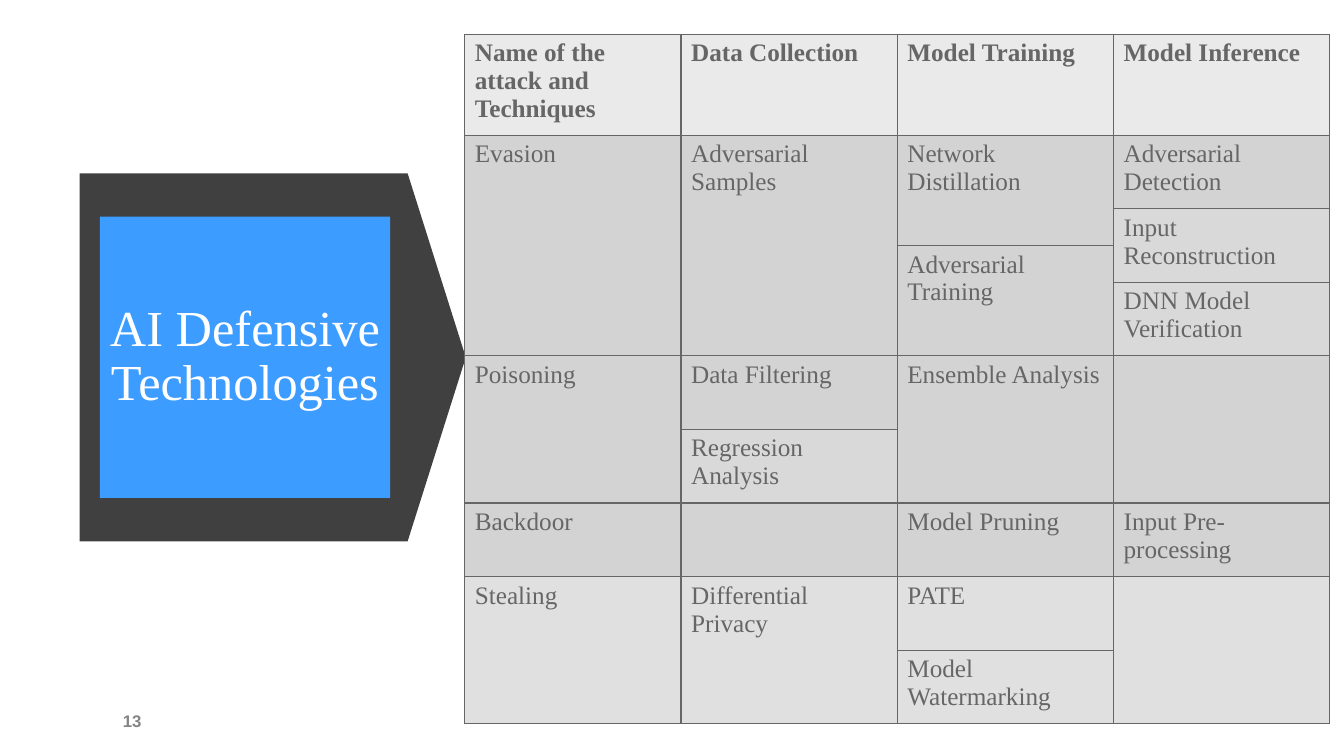
from dataclasses import dataclass

from lxml import etree
from pptx import Presentation
from pptx.dml.color import RGBColor
from pptx.enum import shapes, text
from pptx.oxml import ns
from pptx.util import Inches, Pt

COLORS = {
    "arrow": "404040", "title": "3D9CFF", "white": "FFFFFF", "ink": "666666",
    "header": "EAEAEA", "dark": "D3D3D3", "mid": "D9D9D9", "light": "E0E0E0",
}
SERIF = "Times New Roman"
COL_WIDTH = 2.145
ROW = 0.73
ROW_HEIGHTS = [0.93, ROW, ROW / 2, ROW / 2] + [ROW] * 6


@dataclass
class Entry:
    row: int
    col: int
    text: str
    fill: str = "dark"
    rows: int = 1


HEADERS = ["Name of the attack and Techniques", "Data Collection",
           "Model Training", "Model Inference"]
ENTRIES = [Entry(0, col, name, "header") for col, name in enumerate(HEADERS)] + [
    Entry(1, 0, "Evasion", rows=4),
    Entry(1, 1, "Adversarial Samples", rows=4),
    Entry(1, 2, "Network Distillation", rows=2),
    Entry(3, 2, "Adversarial Training", rows=2),
    Entry(1, 3, "Adversarial Detection"),
    Entry(2, 3, "Input Reconstruction", "mid", 2),
    Entry(4, 3, "DNN Model Verification", "mid"),
    Entry(5, 0, "Poisoning", rows=2),
    Entry(5, 1, "Data Filtering"),
    Entry(6, 1, "Regression Analysis", "mid"),
    Entry(5, 2, "Ensemble Analysis", rows=2),
    Entry(5, 3, "", rows=2),
    Entry(7, 0, "Backdoor"),
    Entry(7, 1, ""),
    Entry(7, 2, "Model Pruning"),
    Entry(7, 3, "Input Pre-processing"),
    Entry(8, 0, "Stealing", "light", 2),
    Entry(8, 1, "Differential Privacy", "light", 2),
    Entry(8, 2, "PATE", "light"),
    Entry(9, 2, "Model Watermarking", "light"),
    Entry(8, 3, "", "light", 2),
]


def set_fill(target, color: str) -> None:
    target.fill.solid()
    target.fill.fore_color.rgb = RGBColor.from_string(COLORS[color])


def write(tf, content: str, *, size: float = 18, font: str = SERIF,
          color: str = "ink", bold: bool = False):
    """Put one formatted run in the first paragraph and return both."""
    p = tf.paragraphs[0]
    r = p.add_run()
    r.text = content
    r.font.size, r.font.name, r.font.bold = Pt(size), font, bold
    r.font.color.rgb = RGBColor.from_string(COLORS[color])
    return p, r


def set_borders(cell) -> None:
    tc_pr = cell._tc.get_or_add_tcPr()
    for i, side in enumerate(("lnL", "lnR", "lnT", "lnB")):
        ln = etree.Element(ns.qn(f"a:{side}"), w=str(Pt(1)))
        fill = etree.SubElement(ln, ns.qn("a:solidFill"))
        etree.SubElement(fill, ns.qn("a:srgbClr"), val=COLORS["ink"])
        tc_pr.insert(i, ln)


def add_title(s) -> None:
    sp = s.shapes.title
    sp.left, sp.top, sp.width, sp.height = map(Inches, (0.99, 2.15, 2.88, 2.79))
    set_fill(sp, "title")
    tf = sp.text_frame
    tf.word_wrap = True
    tf.auto_size = text.MSO_AUTO_SIZE.NONE
    tf.vertical_anchor = text.MSO_ANCHOR.MIDDLE
    p, _ = write(tf, "AI Defensive Technologies", size=36, color="white")
    p.alignment = text.PP_ALIGN.CENTER
    p.line_spacing = 0.9


def add_arrow(s) -> None:
    """Draw the block arrow behind the title."""
    sp = s.shapes.add_shape(shapes.MSO_SHAPE.DOWN_ARROW, Inches(0.88),
                            Inches(1.63), Inches(3.65), Inches(3.83))
    sp.rotation = 270
    sp.adjustments[0], sp.adjustments[1] = 1, 0.158
    sp.shadow.inherit = False
    set_fill(sp, "arrow")
    sp.line.fill.background()
    s.shapes.title._element.addprevious(sp._element)


def add_page_number(s) -> None:
    sp = s.shapes.add_textbox(Inches(1.12), Inches(6.95), Inches(6.79), Inches(0.4))
    tf = sp.text_frame
    tf.word_wrap = True
    tf.vertical_anchor = text.MSO_ANCHOR.MIDDLE
    p, r = write(tf, "13", size=12, font="Arial", bold=True)
    p.space_after = Pt(6)
    color = r._r.find(".//" + ns.qn("a:srgbClr"))
    etree.SubElement(color, ns.qn("a:alpha"), val="80000")


def add_defence_table(s) -> None:
    frame = s.shapes.add_table(len(ROW_HEIGHTS), len(HEADERS), Inches(4.61),
                               Inches(0.34), Inches(COL_WIDTH * len(HEADERS)),
                               Inches(sum(ROW_HEIGHTS)))
    table = frame.table
    table.horz_banding = False
    for column in table.columns:
        column.width = Inches(COL_WIDTH)
    for row, height in zip(table.rows, ROW_HEIGHTS):
        row.height = Inches(height)
    for entry in ENTRIES:
        cell = table.cell(entry.row, entry.col)
        last_row = entry.row + entry.rows - 1
        if entry.rows > 1:
            cell.merge(table.cell(last_row, entry.col))
        for row in range(entry.row, last_row + 1):
            part = table.cell(row, entry.col)
            set_fill(part, entry.fill)
            set_borders(part)
        if entry.text:
            write(cell.text_frame, entry.text, bold=entry.row == 0)


def main() -> None:
    prs = Presentation()
    prs.slide_width, prs.slide_height = Inches(13.33), Inches(7.5)
    s = prs.slides.add_slide(prs.slide_layouts[5])
    add_title(s)
    add_arrow(s)
    add_page_number(s)
    add_defence_table(s)
    prs.save("out.pptx")


if __name__ == "__main__":
    main()
